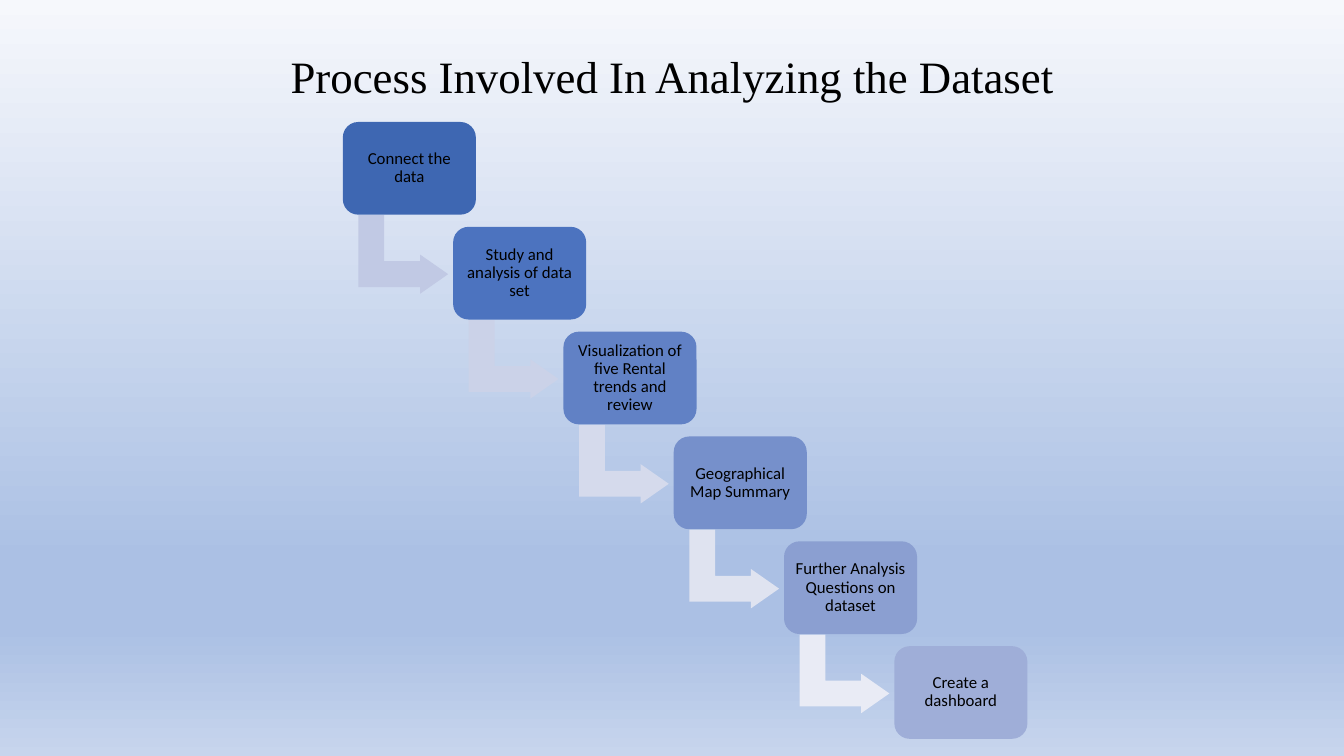
from dataclasses import dataclass

from lxml import etree
from pptx import Presentation
from pptx import util as u
from pptx.dml.color import RGBColor
from pptx.enum import shapes, text
from pptx.oxml.ns import qn


@dataclass(frozen=True)
class Theme:
    """Colours, fonts and type sizes of the slide."""
    ink: str = "000000"
    backdrop: tuple = ((0, "F6F8FC"), (74, "ABC0E4"), (83, "ABC0E4"), (100, "C7D5ED"))
    boxes: tuple = ("3E67B2", "4C73BF", "6181C5", "7690CB", "8B9FD1", "9FAED8")
    arrows: tuple = ("C1C9E4", "CBD2E8", "D5DAEC", "DFE3F0", "E9EBF5")
    title_font: str = "Times New Roman"
    body_font: str = "Calibri"
    title_size: int = 32
    body_size: int = 12


class StairSlide:
    """Draws a staircase of steps, one grid cell right and down at a time."""

    LEFT, TOP = 3.4, 1.21
    COLUMN, ROW = 5.47 / 5, 1.04

    def __init__(self, prs, theme):
        """Add a blank slide in the given theme."""
        self.theme = theme
        self.s = prs.slides.add_slide(prs.slide_layouts[6])

    def cell(self, column, row):
        """Return the corner of a grid cell in inches."""
        return self.LEFT + column * self.COLUMN, self.TOP + row * self.ROW

    def backdrop(self):
        """Fill the background with the vertical gradient."""
        fill = self.s.background.fill
        fill.gradient()
        fill.gradient_angle = 270
        stops = next(self.s._element.iter(qn("a:gsLst")))
        for stop in list(stops):
            stops.remove(stop)
        for share, colour in self.theme.backdrop:
            stop = etree.SubElement(stops, qn("a:gs"), pos=str(share * 1000))
            etree.SubElement(stop, qn("a:srgbClr"), val=colour)

    def label(self, sp, words, font, size, inset, space_after=0):
        """Set centred text in a shape."""
        tf = sp.text_frame
        frame = {"word_wrap": True, "vertical_anchor": text.MSO_ANCHOR.MIDDLE}
        frame.update({f"margin_{side}": u.Inches(inset)
                      for side in ("left", "right", "top", "bottom")})
        p = tf.paragraphs[0]
        r = p.add_run()
        r.text = words
        paragraph = {"alignment": text.PP_ALIGN.CENTER, "line_spacing": 0.9,
                     "space_after": u.Pt(space_after)}
        for target, formats in ((tf, frame), (p, paragraph),
                                (r.font, {"name": font, "size": u.Pt(size)})):
            for name, value in formats.items():
                setattr(target, name, value)
        r.font.color.rgb = RGBColor.from_string(self.theme.ink)

    def title(self, words):
        """Add the heading."""
        sp = self.s.shapes.add_textbox(*map(u.Inches, (0.92, 0.4, 11.5, 0.77)))
        self.label(sp, words, self.theme.title_font, self.theme.title_size, 0.05)

    def shape(self, kind, left, top, width, height, colour, adjustments):
        """Add a flat filled shape without an outline."""
        sp = self.s.shapes.add_shape(kind, *map(u.Inches, (left, top, width, height)))
        sp.shadow.inherit = False
        sp.fill.solid()
        sp.fill.fore_color.rgb = RGBColor.from_string(colour)
        sp.line.fill.background()
        for i, value in enumerate(adjustments):
            sp.adjustments[i] = value
        return sp

    def arrow(self, step):
        """Add the bent arrow that leads from a step to the next."""
        left, top = self.cell(step, step)
        sp = self.shape(shapes.MSO_SHAPE.BENT_UP_ARROW, left + 0.21, top + 0.87,
                        0.78, 0.89, self.theme.arrows[step], (0.328, 0.25, 0.358))
        sp.rotation = 90

    def box(self, step, words):
        """Add the rounded box of a step."""
        sp = self.shape(shapes.MSO_SHAPE.ROUNDED_RECTANGLE, *self.cell(step, step),
                        1.32, 0.92, self.theme.boxes[step], (0.167,))
        self.label(sp, words, self.theme.body_font, self.theme.body_size, 0.05, 4.2)


STEPS = (
    "Connect the data",
    "Study and analysis of data set",
    "Visualization of five Rental trends and review",
    "Geographical Map Summary",
    "Further Analysis Questions on dataset",
    "Create a dashboard",
)


def main():
    """Build and save the slide."""
    prs = Presentation()
    prs.slide_width, prs.slide_height = u.Inches(13.33), u.Inches(7.5)
    slide = StairSlide(prs, Theme())
    slide.backdrop()
    slide.title("Process Involved In Analyzing the Dataset")
    for step, words in enumerate(STEPS):
        if step < len(STEPS) - 1:
            slide.arrow(step)
        slide.box(step, words)
    prs.save("out.pptx")


if __name__ == "__main__":
    main()
